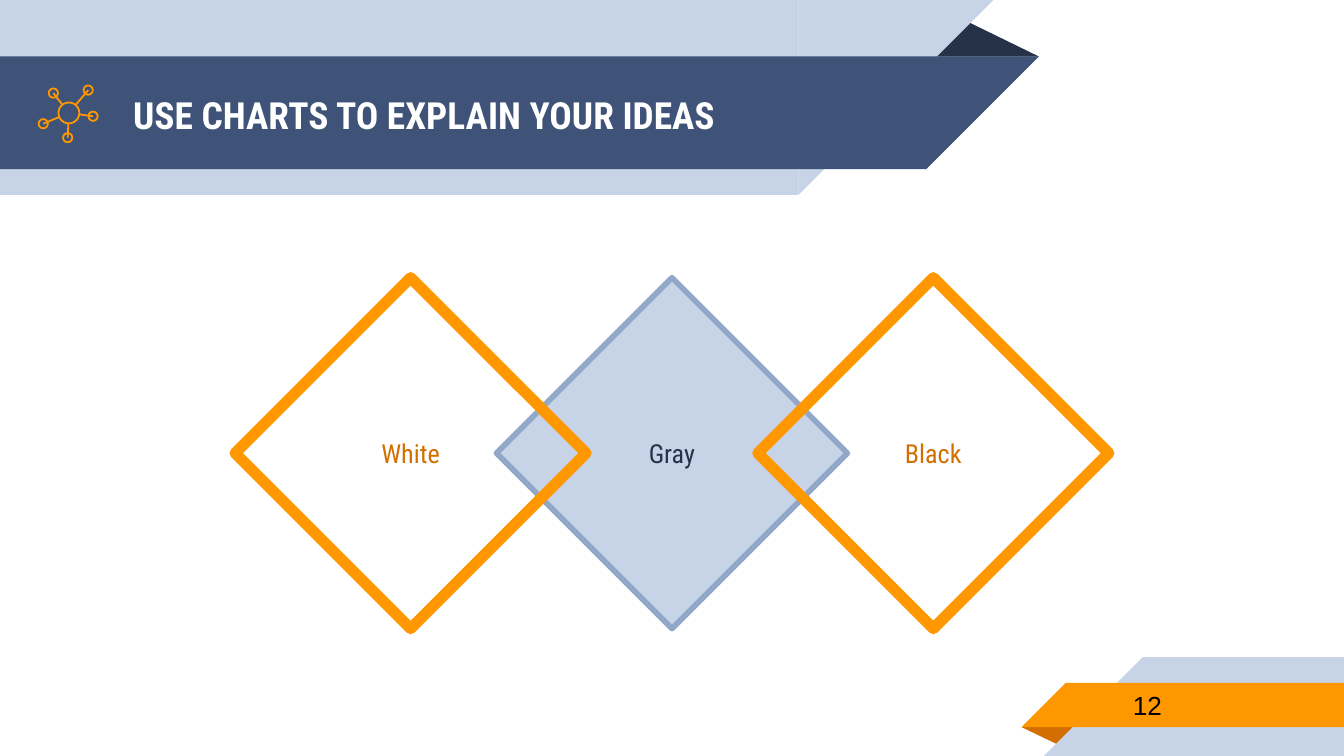
from math import hypot

from pptx import Presentation
from pptx.dml.color import RGBColor
from pptx.enum.shapes import MSO_CONNECTOR, MSO_SHAPE
from pptx.enum.text import MSO_ANCHOR, MSO_AUTO_SIZE, PP_ALIGN
from pptx.oxml.ns import qn
from pptx.util import Pt
from lxml.etree import SubElement

PALE, NAVY, INK = "C7D3E6", "3F5378", "263248"
STEEL, ORANGE, RUST = "92A8C8", "FF9800", "D26F00"
HEADING_FONT = "Roboto Condensed"


def color(hex_string):
    return RGBColor.from_string(hex_string)


def add_figure(page, kind, box, fill=None, line=None, weight=1):
    shape = page.shapes.add_shape(kind, *[Pt(length) for length in box])
    shape.shadow.inherit = False
    if fill:
        shape.fill.solid()
        shape.fill.fore_color.rgb = color(fill)
    else:
        shape.fill.background()
    if line:
        shape.line.color.rgb = color(line)
        shape.line.width = Pt(weight)
    else:
        shape.line.fill.background()
    return shape


def write(shape, text, size, font, ink, align=PP_ALIGN.LEFT, bold=False):
    frame = shape.text_frame
    frame.word_wrap = True
    frame.auto_size = MSO_AUTO_SIZE.NONE
    frame.vertical_anchor = MSO_ANCHOR.MIDDLE
    frame.margin_left = frame.margin_right = Pt(7.2)
    frame.margin_top = frame.margin_bottom = Pt(7.2)
    para = frame.paragraphs[0]
    para.alignment = align
    span = para.add_run()
    span.text = text
    span.font.size = Pt(size)
    span.font.name = font
    span.font.bold = bold
    span.font.color.rgb = color(ink)


def add_band(page, box, fill, slant_left=False):
    """A bar with a 45 degree end: cut at the right, or at the left."""
    left, top, width, height = box
    bar_left = left + height if slant_left else left
    tip_left = left if slant_left else left + width - height
    add_figure(page, MSO_SHAPE.RECTANGLE, (bar_left, top, width - height, height), fill)
    tip = add_figure(page, MSO_SHAPE.RIGHT_TRIANGLE, (tip_left, top, height, height), fill)
    tip._element.spPr.find(qn("a:xfrm")).set("flipH", "1")
    if not slant_left:
        tip.rotation = 180


def add_fold(page, box, fill, rotation=0):
    fold = add_figure(page, MSO_SHAPE.ISOSCELES_TRIANGLE, box, fill)
    fold.adjustments[0] = 0.324
    fold.rotation = rotation


def add_header(page, box, text):
    left, top, width, height = box
    add_fold(page, (left + width - 61.2, top + 10.1, 61.2, 20.2), INK)
    add_band(page, (left, top, width - 24.5, height), PALE)
    add_band(page, (left, top + 30.2, width, 60.5), NAVY)
    title = page.shapes.title
    title.left, title.top = Pt(left + 64.1), Pt(top + 31)
    title.width, title.height = Pt(414), Pt(60.5)
    write(title, text, 20, HEADING_FONT, "FFFFFF", bold=True)
    # Bring the title in front of the bands
    page.shapes._spTree.append(title._element)


def add_footer(page, box, number):
    left, top, width, height = box
    add_fold(page, (left, top + 37.4, 31, 10.1), RUST, 180)
    add_band(page, (left + 12.2, top, width - 12.2, height), PALE, slant_left=True)
    add_band(page, (left, top + 13.7, width, 23.8), ORANGE, slant_left=True)
    label = page.shapes.add_textbox(Pt(left + 52.6), Pt(top + 13), Pt(117.4), Pt(25.2))
    write(label, number, 14, "Arial", "000000")


def add_diamonds(page, box):
    left, top, width, size = box
    step = (width - size) / 2
    # The middle diamond lies behind its neighbours
    for column, text, fill, line, weight, ink in (
        (1, "Gray", PALE, STEEL, 3, INK),
        (0, "White", None, ORANGE, 6, RUST),
        (2, "Black", None, ORANGE, 6, RUST),
    ):
        diamond = add_figure(page, MSO_SHAPE.DIAMOND,
                             (left + column * step, top, size, size), fill, line, weight)
        write(diamond, text, 14, HEADING_FONT, ink, PP_ALIGN.CENTER)


def add_network_icon(page, left, top):
    def add_ring(x, y, radius):
        add_figure(page, MSO_SHAPE.OVAL, (x - radius, y - radius, 2 * radius, 2 * radius),
                   line=ORANGE, weight=0.96)

    hub_x, hub_y, hub_radius = left + 16.2, top + 15.1, 5.6
    add_ring(hub_x, hub_y, hub_radius)
    for across, down in ((26.6, 2.9), (7.9, 4.5), (2.5, 20.9), (15.6, 28.4), (29.2, 16.9)):
        x, y = left + across, top + down
        add_ring(x, y, 2.5)
        # Each spoke runs from the rim of the hub to the node's centre
        share = hub_radius / hypot(x - hub_x, y - hub_y)
        spoke = page.shapes.add_connector(
            MSO_CONNECTOR.STRAIGHT,
            Pt(hub_x + share * (x - hub_x)), Pt(hub_y + share * (y - hub_y)), Pt(x), Pt(y))
        spoke.line.color.rgb = color(ORANGE)
        spoke.line.width = Pt(0.96)
        SubElement(spoke._element.spPr, qn("a:effectLst"))


deck = Presentation()
deck.slide_width, deck.slide_height = Pt(720), Pt(405)
page = deck.slides.add_slide(deck.slide_layouts[5])
page.background.fill.solid()
page.background.fill.fore_color.rgb = color("FFFFFF")

add_header(page, (0, 0, 556.6, 104.4), "USE CHARTS TO EXPLAIN YOUR IDEAS")
add_footer(page, (547.2, 352.1, 172.8, 52.9), "12")
add_diamonds(page, (126, 148.8, 468, 188))
add_network_icon(page, 20.7, 45.4)

deck.save("out.pptx")
